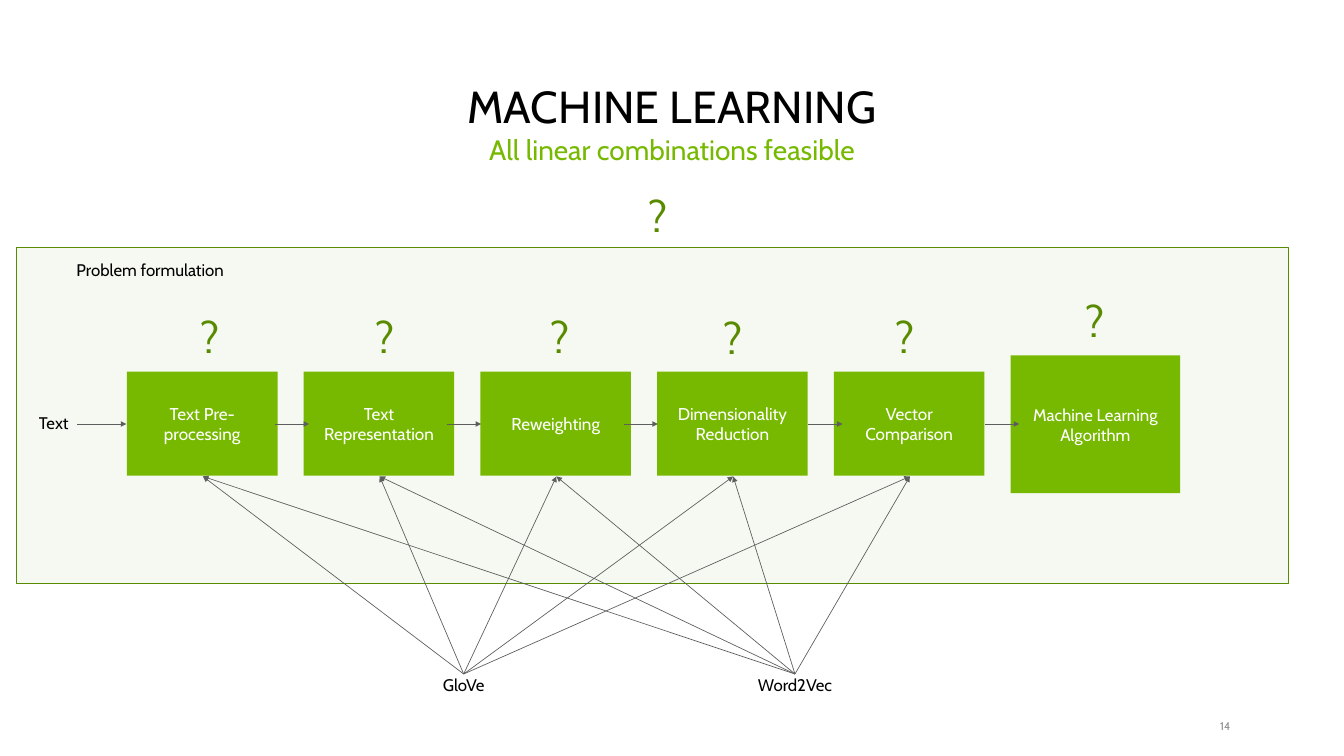
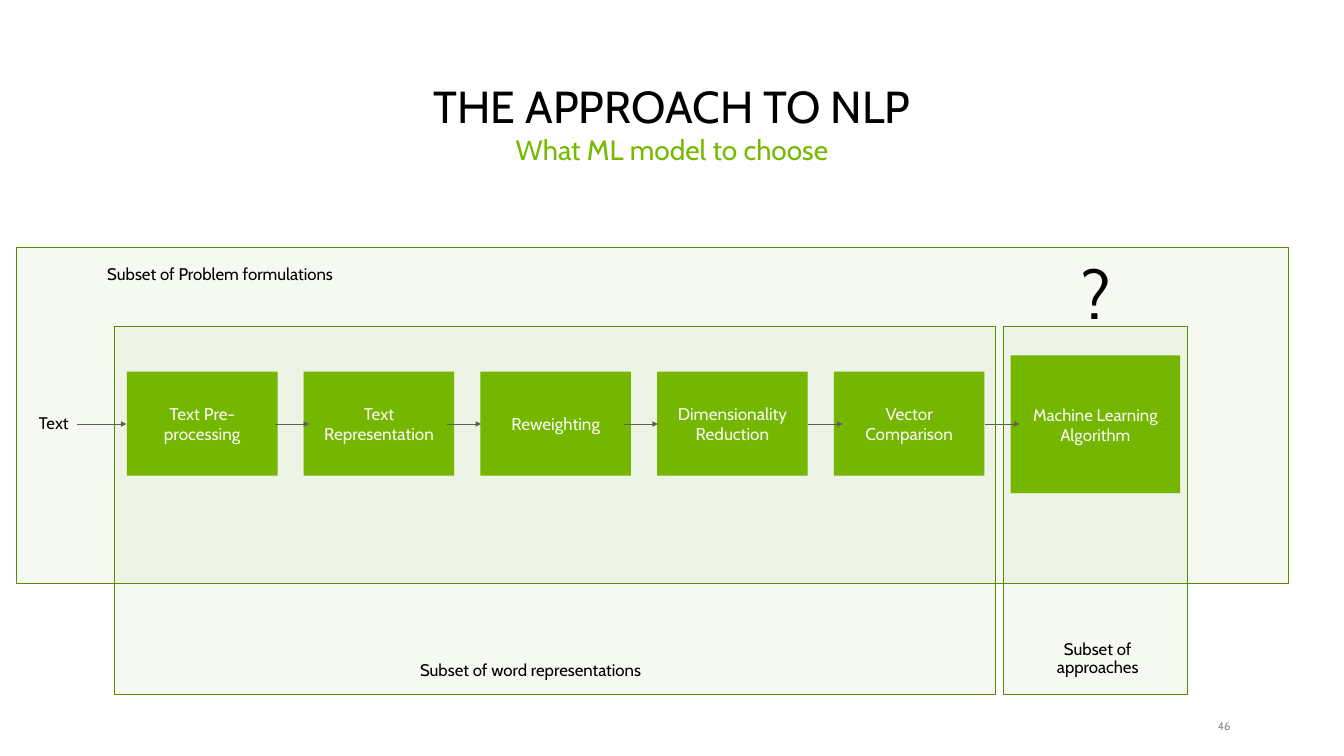
import pptx
import pptx.util
import pptx.dml.color
import pptx.enum.shapes
import pptx.enum.text
import pptx.oxml.ns
from lxml import etree

Inches = pptx.util.Inches
RGB = pptx.dml.color.RGBColor
PP_ALIGN = pptx.enum.text.PP_ALIGN
ANCHOR = pptx.enum.text.MSO_ANCHOR
qn = pptx.oxml.ns.qn

# Colours and text formats shared by both slides
BLACK = RGB(0x00, 0x00, 0x00)
WHITE = RGB(0xFF, 0xFF, 0xFF)
GREEN = RGB(0x76, 0xB9, 0x00)
DARK_GREEN = RGB(0x59, 0x8B, 0x00)
LINE_GREY = RGB(0x5E, 0x5E, 0x5E)
NUMBER_GREY = RGB(0x8C, 0x8C, 0x8C)

TITLE = dict(size=48, color=BLACK, anchor=ANCHOR.BOTTOM, wrap=True)
SUBTITLE = dict(size=30, color=GREEN, anchor=ANCHOR.TOP, wrap=True)
LABEL = dict(size=18, color=BLACK)
QUESTION = dict(size=46.7, color=DARK_GREEN)
BIG_QUESTION = dict(size=72, color=BLACK)
STEP = dict(size=18.3, color=WHITE, wrap=True, spacing=1.0, fill=GREEN)
ALGORITHM = dict(STEP, size=18)
FRAME = dict(fill=DARK_GREEN, alpha=5, line=DARK_GREEN)
NUMBER = dict(size=12, color=NUMBER_GREY, align=PP_ALIGN.RIGHT, inset=0)


def put(s, box, text, fmt, sp=None):
    """Place a box with text; a fill in fmt makes it a rectangle."""
    at = [Inches(v) for v in box]
    if "fill" in fmt:
        sp = s.shapes.add_shape(pptx.enum.shapes.MSO_SHAPE.RECTANGLE, *at)
        sp.shadow.inherit = False
        sp.fill.solid()
        sp.fill.fore_color.rgb = fmt["fill"]
        if "alpha" in fmt:
            clr = sp.element.spPr.find(qn("a:solidFill"))[0]
            etree.SubElement(clr, qn("a:alpha"), val=str(fmt["alpha"] * 1000))
        if "line" in fmt:
            sp.line.color.rgb = fmt["line"]
            sp.line.width = pptx.util.Pt(1)
        else:
            sp.line.fill.background()
    elif sp is None:
        sp = s.shapes.add_textbox(*at)
    else:
        sp.left, sp.top, sp.width, sp.height = at
    if not text:
        return
    tf = sp.text_frame
    frame = dict(word_wrap=fmt.get("wrap", False),
                 vertical_anchor=fmt.get("anchor", ANCHOR.MIDDLE),
                 auto_size=pptx.enum.text.MSO_AUTO_SIZE.NONE)
    if "inset" in fmt:
        for side in ("left", "right", "top", "bottom"):
            frame["margin_" + side] = Inches(fmt["inset"])
    for name, value in frame.items():
        setattr(tf, name, value)
    tf.text = text
    for p in tf.paragraphs:
        p.alignment = fmt.get("align", PP_ALIGN.CENTER)
        p.line_spacing = fmt.get("spacing", 0.9)
        for r in p.runs:
            for name, value in dict(name="Cabin", size=pptx.util.Pt(fmt["size"])).items():
                setattr(r.font, name, value)
            r.font.color.rgb = fmt["color"]


def arrow(s, x1, y1, x2, y2):
    """Draw a thin grey arrow from the first point to the second."""
    cn = s.shapes.add_connector(pptx.enum.shapes.MSO_CONNECTOR.STRAIGHT,
                                *[Inches(v) for v in (x1, y1, x2, y2)])
    cn.line.color.rgb = LINE_GREY
    cn.line.width = pptx.util.Pt(0.75)
    etree.SubElement(cn.line._get_or_add_ln(), qn("a:tailEnd"), type="triangle")
    etree.SubElement(cn.element.spPr, qn("a:effectLst"))


prs = pptx.Presentation()
prs.slide_width, prs.slide_height = Inches(20), Inches(11.25)

# Pipeline geometry
STEPS = ["Text Pre-processing", "Text Representation", "Reweighting",
         "Dimensionality Reduction", "Vector Comparison"]
PITCH = 2.63
FLOW_Y = 6.31
FLOW_STARTS = [4.09, 6.65, 9.28, 12.03, 14.66]

# Parts common to both slides: headings, number, frame and pipeline
slides = []
for title, subtitle, number in [
        ("MACHINE LEARNING", "All linear combinations feasible", "14"),
        ("THE APPROACH TO NLP", "What ML model to choose", "46")]:
    s = prs.slides.add_slide(prs.slide_layouts[5])
    slides.append(s)
    put(s, (17.77, 10.71, 0.54, 0.2), number, NUMBER)
    put(s, (0.24, 3.68, 18.94, 5), "", FRAME)
    put(s, (0.91, 0.95, 18.18, 1.08), title, TITLE, s.shapes.title)
    put(s, (0.91, 1.98, 18.18, 0.96), subtitle, SUBTITLE)
    put(s, (0.46, 6.12, 0.68, 0.37), "Text", LABEL)
    for i, step in enumerate(STEPS):
        put(s, (1.89 + i * PITCH, 5.53, 2.24, 1.55), step, STEP)
    put(s, (15.04, 5.29, 2.52, 2.05), "Machine Learning Algorithm", ALGORITHM)
    arrow(s, 1.15, FLOW_Y, 1.88, FLOW_Y)
    for x in FLOW_STARTS:
        arrow(s, x, FLOW_Y, x + 0.51, FLOW_Y)

# Slide 1: open questions and the embeddings that span the steps
s = slides[0]
put(s, (0.97, 3.85, 2.53, 0.37), "Problem formulation", LABEL)
for x, y in [(9.57, 2.84), (2.9, 4.65), (5.51, 4.65), (8.12, 4.65),
             (10.69, 4.66), (13.25, 4.65), (16.07, 4.41)]:
    put(s, (x, y, 0.44, 0.81), "?", QUESTION)
for name, x, width in [("GloVe", 6.9, 0.85), ("Word2Vec", 11.83, 1.31)]:
    put(s, (x - width / 2, 10.03, width, 0.37), name, LABEL)
    for i in range(len(STEPS)):
        arrow(s, x, 10.03, 3.02 + i * PITCH, 7.09)

# Slide 2: subsets of the pipeline
s = slides[1]
put(s, (1.4, 3.91, 3.75, 0.37), "Subset of Problem formulations", LABEL)
for x, width in [(1.7, 13.12), (14.93, 2.74)]:
    put(s, (x, 4.86, width, 5.47), "", FRAME)
put(s, (6.03, 9.8, 3.73, 0.37), "Subset of word representations", LABEL)
put(s, (15.59, 9.48, 1.49, 0.65), "Subset of\napproaches", LABEL)
put(s, (16.07, 3.83, 0.49, 1.19), "?", BIG_QUESTION)

prs.save("out.pptx")
